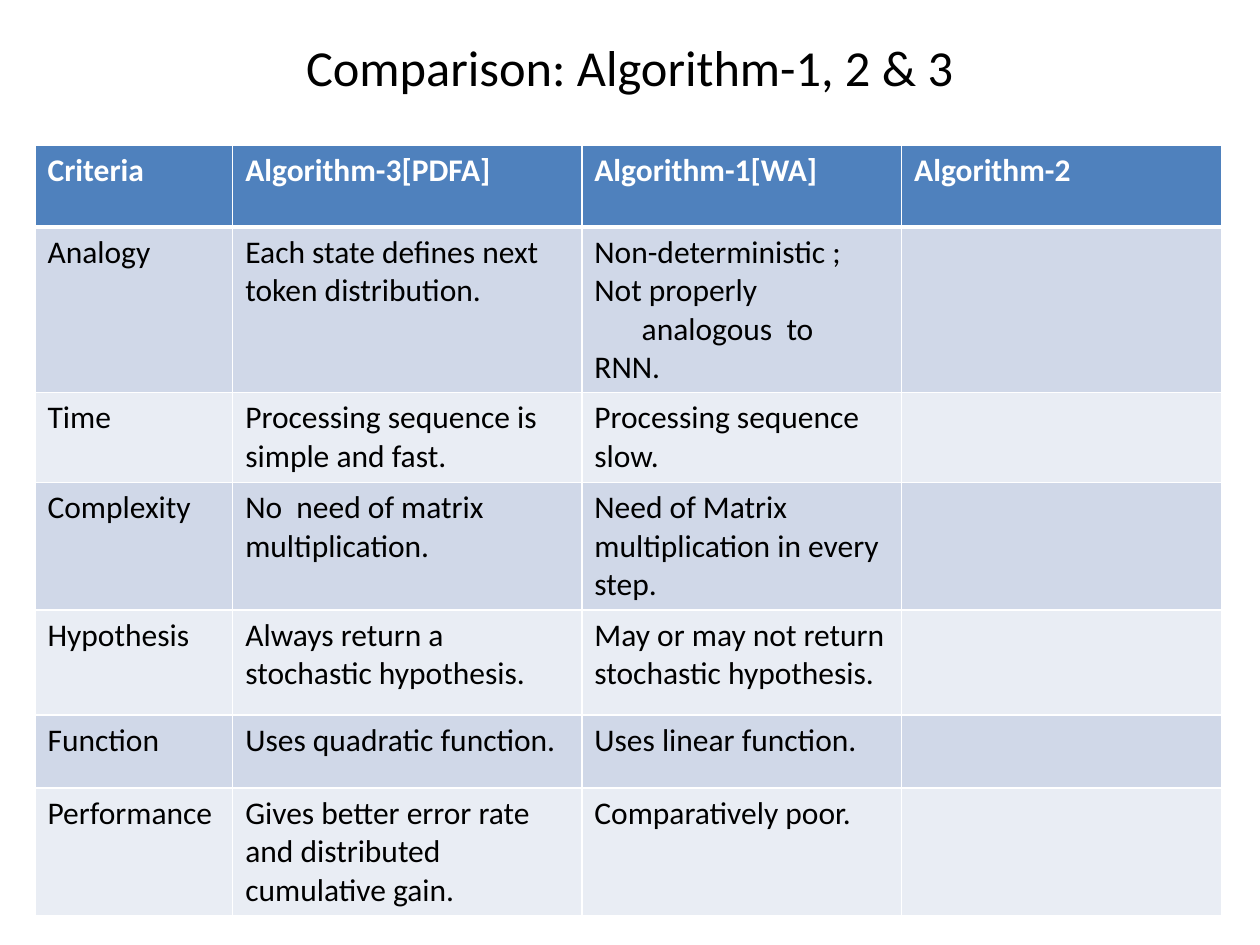
from lxml import etree
from pptx import Presentation
from pptx.dml.color import RGBColor
from pptx.enum.text import MSO_ANCHOR, PP_ALIGN
from pptx.oxml.ns import qn
from pptx.util import Pt

CENTER, LEFT = PP_ALIGN.CENTER, PP_ALIGN.LEFT
MIDDLE = MSO_ANCHOR.MIDDLE
COLORS = {"header": "4F81BD", "odd": "D0D8E8", "even": "E9EDF4",
          "white": "FFFFFF", "black": "000000"}
FONT = "Calibri"

COLUMN_WIDTHS = [113, 199.5, 182.75, 182.75]
ROW_HEIGHTS = [46.8, 94.6, 51.2, 73, 60, 41.8, 72.8]
HANGING = 27
ROWS = [
    ["Criteria", "Algorithm-3[PDFA]", "Algorithm-1[WA]", "Algorithm-2"],
    ["Analogy", "Each state defines next token distribution.",
     "Non-deterministic ;\nNot properly analogous  to\nRNN.", ""],
    ["Time", "Processing sequence is simple and fast.",
     "Processing sequence slow.", ""],
    ["Complexity", "No  need of matrix multiplication.",
     "Need of Matrix multiplication in every step.", ""],
    ["Hypothesis", "Always return a stochastic hypothesis.",
     "May or may not return stochastic hypothesis.", ""],
    ["Function", "Uses quadratic function.", "Uses linear function.", ""],
    ["Performance", "Gives better error rate and distributed cumulative gain.",
     "Comparatively poor.", ""],
]


def write_text(frame, text, size=18, color="black", bold=False, align=LEFT):
    """Fill the frame, one paragraph a line; several lines get a hanging indent."""
    frame.word_wrap = True
    frame.text = text
    for paragraph in frame.paragraphs:
        if len(frame.paragraphs) > 1:
            properties = paragraph._p.get_or_add_pPr()
            properties.set("marL", str(Pt(HANGING)))
            properties.set("indent", str(-Pt(HANGING)))
        paragraph.alignment = align
        paragraph.font.name = FONT
        paragraph.font.size = Pt(size)
        paragraph.font.bold = bold
        paragraph.font.color.rgb = RGBColor.from_string(COLORS[color])


def set_borders(cell, widths):
    """Draw white cell borders; widths maps a border tag to points."""
    properties = cell._tc.get_or_add_tcPr()
    for position, (tag, width) in enumerate(widths.items()):
        line = etree.Element(qn(f"a:{tag}"), w=str(Pt(width)))
        fill = etree.SubElement(line, qn("a:solidFill"))
        etree.SubElement(fill, qn("a:srgbClr"), val=COLORS["white"])
        properties.insert(position, line)


presentation = Presentation()
presentation.slide_width, presentation.slide_height = Pt(720), Pt(540)
slide = presentation.slides.add_slide(presentation.slide_layouts[6])

title = slide.shapes.add_textbox(Pt(36), Pt(21.6), Pt(648), Pt(33))
title.text_frame.vertical_anchor = MIDDLE
write_text(title.text_frame, "Comparison: Algorithm-1, 2 & 3", size=28.8, align=CENTER)

table = slide.shapes.add_table(
    len(ROWS), len(COLUMN_WIDTHS), Pt(20), Pt(83),
    Pt(sum(COLUMN_WIDTHS)), Pt(sum(ROW_HEIGHTS))).table
for column, width in zip(table.columns, COLUMN_WIDTHS):
    column.width = Pt(width)

for row_index, (texts, height) in enumerate(zip(ROWS, ROW_HEIGHTS)):
    table.rows[row_index].height = Pt(height)
    is_header = row_index == 0
    band = "header" if is_header else "odd" if row_index % 2 else "even"
    for column_index, text in enumerate(texts):
        cell = table.cell(row_index, column_index)
        cell.fill.solid()
        cell.fill.fore_color.rgb = RGBColor.from_string(COLORS[band])
        write_text(cell.text_frame, text, bold=is_header,
                   color="white" if is_header else "black")
        set_borders(cell, {"lnL": 1, "lnR": 1, "lnT": 3 if row_index == 1 else 1,
                           "lnB": 3 if is_header else 1})

presentation.save("out.pptx")
